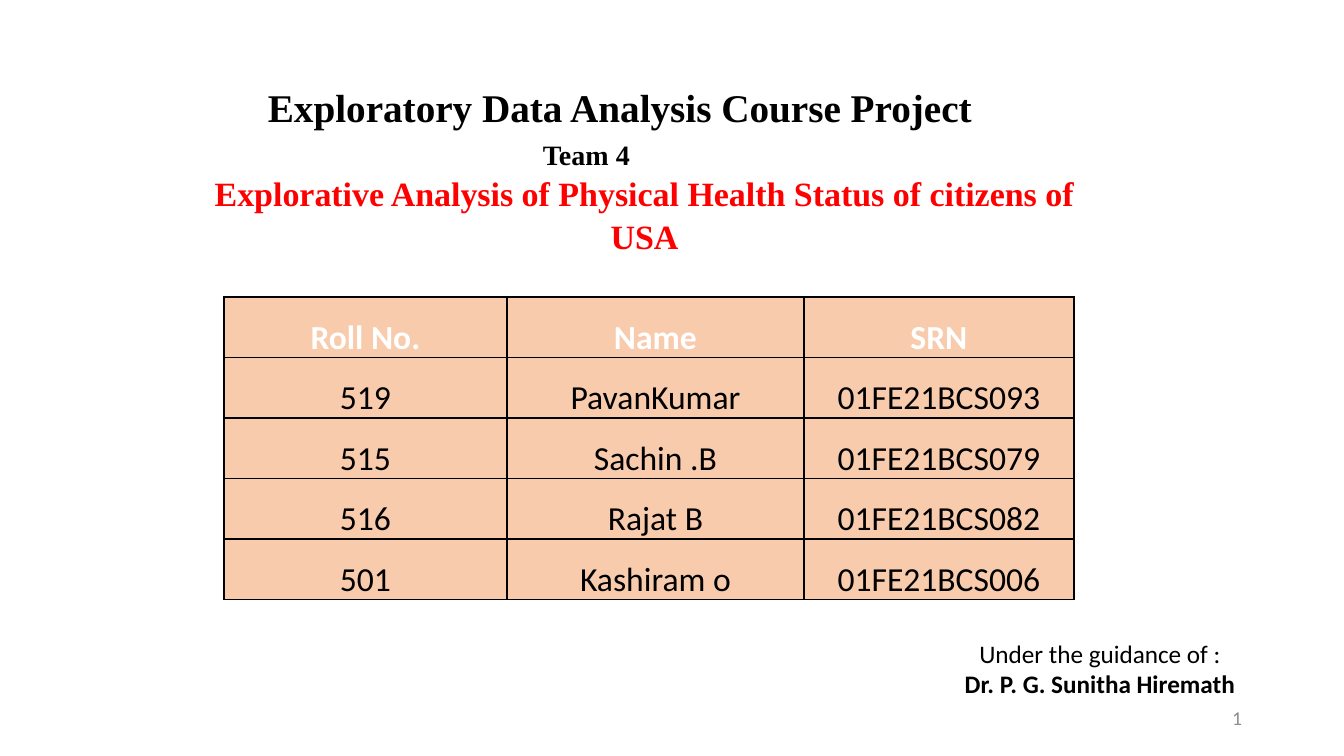
from dataclasses import dataclass

from lxml import etree
from pptx import Presentation
from pptx import util as u
from pptx.dml.color import RGBColor
from pptx.enum import text as t
from pptx.oxml.ns import qn


@dataclass(frozen=True)
class Theme:
    serif: str = "Times New Roman"
    sans: str = "Calibri"
    ink: str = "000000"
    accent: str = "FF0000"
    header: str = "FFFFFF"
    cell: str = "F8CBAD"
    muted: str = "8C8C8C"
    course_size: float = 28
    team_size: float = 20
    topic_size: float = 24.3
    table_size: float = 24
    guide_size: float = 18
    number_size: float = 14


THEME = Theme()
LEFT, CENTER, RIGHT = t.PP_ALIGN.LEFT, t.PP_ALIGN.CENTER, t.PP_ALIGN.RIGHT

MEMBERS = [
    ("Roll No.", "Name", "SRN"),
    ("519", "PavanKumar", "01FE21BCS093"),
    ("515", "Sachin .B", "01FE21BCS079"),
    ("516", "Rajat B", "01FE21BCS082"),
    ("501", "Kashiram o", "01FE21BCS006"),
]


def px(length):
    return u.Emu(round(length * 914400 / 100.8))


def write(paragraph, words, size, font=THEME.sans, color=THEME.ink,
          bold=False, align=LEFT, spacing=None):
    paragraph.alignment = align
    if spacing:
        paragraph.line_spacing = spacing
    run = paragraph.add_run()
    run.text = words
    run.font.size = u.Pt(size)
    run.font.name = font
    run.font.bold = bold
    run.font.color.rgb = RGBColor.from_string(color)


def add_frame(slide, left, top, width, height, anchor=t.MSO_ANCHOR.TOP):
    box = slide.shapes.add_textbox(px(left), px(top), px(width), px(height))
    frame = box.text_frame
    frame.word_wrap = True
    frame.vertical_anchor = anchor
    return frame


def add_heading(slide, left, top, width):
    # Course and team
    course = add_frame(slide, left + 89, top, width - 89, 57)
    write(course.paragraphs[0], "Exploratory Data Analysis Course Project",
          THEME.course_size, font=THEME.serif, bold=True)
    team = add_frame(slide, left + 364, top + 55, 117, 44)
    write(team.paragraphs[0], "Team 4", THEME.team_size, font=THEME.serif, bold=True)

    # Project topic
    topic = add_frame(slide, left, top + 93, 951, 127)
    topic.margin_top = 0
    write(topic.paragraphs[0],
          "Explorative Analysis of Physical Health Status of citizens of USA",
          THEME.topic_size, font=THEME.serif, color=THEME.accent, bold=True,
          align=CENTER, spacing=1.05)


def draw_borders(cell):
    properties = cell._tc.get_or_add_tcPr()
    for position, side in enumerate(("a:lnL", "a:lnR", "a:lnT", "a:lnB")):
        line = etree.Element(qn(side), w=str(u.Pt(1)))
        fill = etree.SubElement(line, qn("a:solidFill"))
        etree.SubElement(fill, qn("a:srgbClr"), val=THEME.ink)
        properties.insert(position, line)


def add_members(slide, left, top, widths, row_height):
    table = slide.shapes.add_table(
        len(MEMBERS), len(widths), px(left), px(top),
        px(sum(widths)), px(row_height * len(MEMBERS))).table
    table.horz_banding = False
    for column, width in zip(table.columns, widths):
        column.width = px(width)
    for r, member in enumerate(MEMBERS):
        table.rows[r].height = px(row_height)
        for c, words in enumerate(member):
            cell = table.cell(r, c)
            cell.margin_left = cell.margin_right = 0
            cell.margin_top = cell.margin_bottom = 0
            cell.fill.solid()
            cell.fill.fore_color.rgb = RGBColor.from_string(THEME.cell)
            draw_borders(cell)
            write(cell.text_frame.paragraphs[0], words, THEME.table_size,
                  color=THEME.ink if r else THEME.header, bold=r == 0,
                  align=CENTER, spacing=1.5)


def add_footer(slide, left, top, width):
    # Guide
    guide = add_frame(slide, left, top, width, 72)
    write(guide.paragraphs[0], "Under the guidance of :", THEME.guide_size, align=CENTER)
    write(guide.add_paragraph(), "Dr. P. G. Sunitha Hiremath", THEME.guide_size,
          bold=True, align=CENTER)

    # Slide number
    number = add_frame(slide, left + 94, top + 65, 302, 40, t.MSO_ANCHOR.MIDDLE)
    write(number.paragraphs[0], "1", THEME.number_size, color=THEME.muted, align=RIGHT)


def main():
    deck = Presentation()
    deck.slide_width, deck.slide_height = px(1344), px(756)
    slide = deck.slides.add_slide(deck.slide_layouts[6])
    add_heading(slide, 169, 78, 1175)
    add_members(slide, 224, 297, (283, 297, 270), 55)
    add_footer(slide, 856, 633, 488)
    deck.save("out.pptx")


if __name__ == "__main__":
    main()
